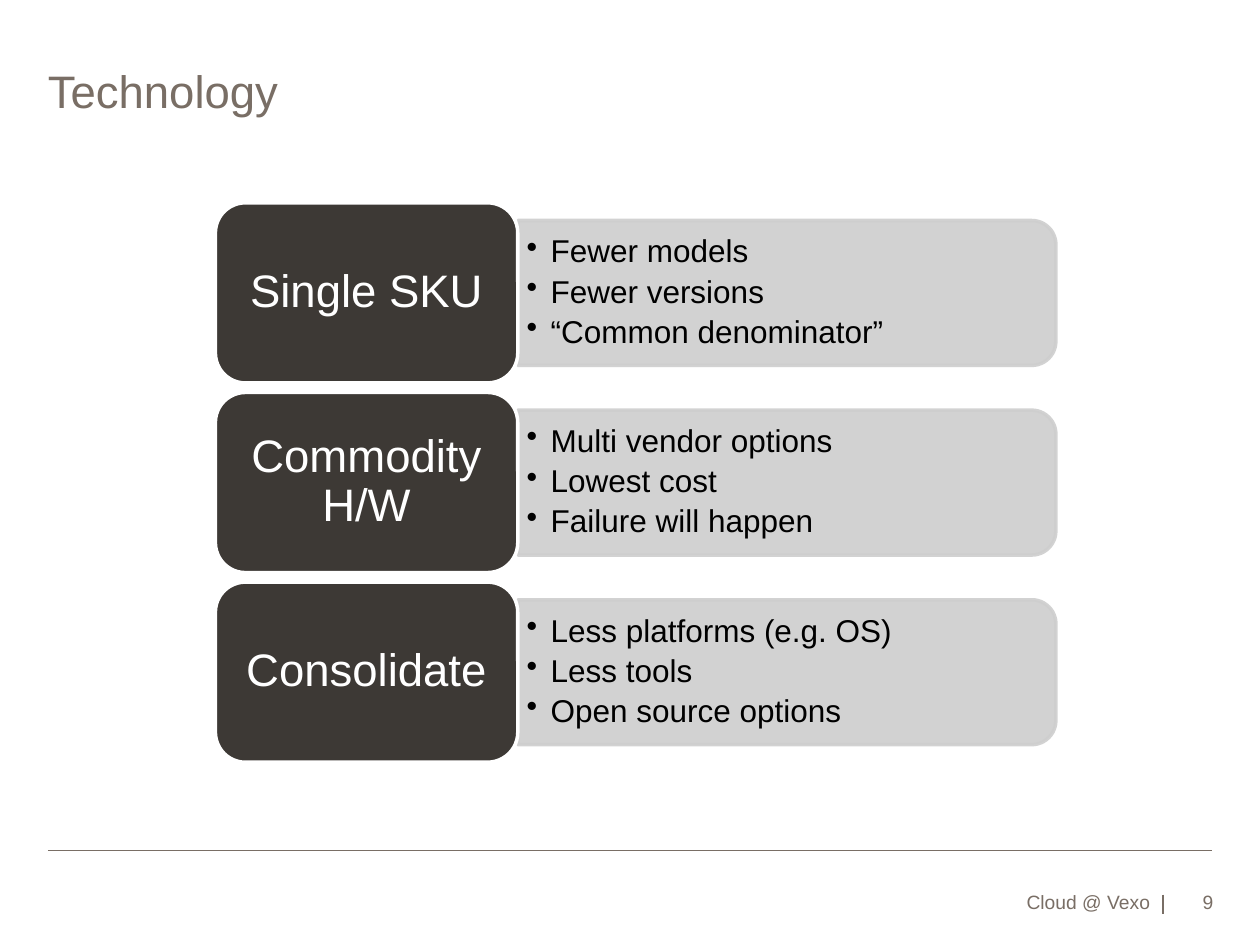
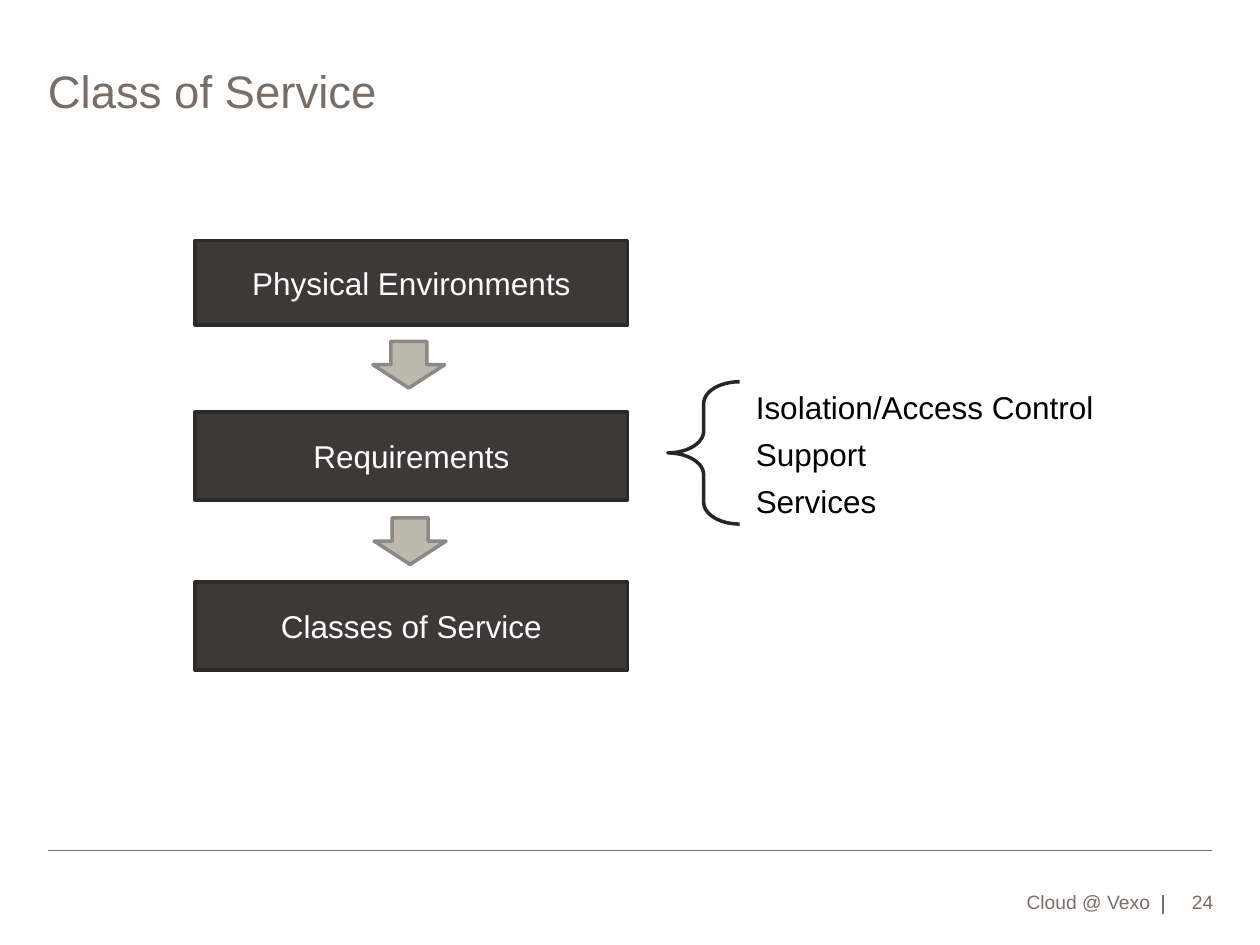
"""Build two slides on cloud technology and classes of service."""
from pptx import Presentation, util as u
from pptx.dml.color import RGBColor
from pptx.enum import shapes, text
from pptx.oxml.ns import qn
from lxml import etree

Inches, Pt = u.Inches, u.Pt
SHAPE, ALIGN, ANCHOR = shapes.MSO_SHAPE, text.PP_ALIGN, text.MSO_ANCHOR
COLORS = {
    "taupe": "796E65", "dark": "3D3935", "edge": "2D2A27", "panel": "CECECE",
    "arrow": "BFB8AF", "arrow_edge": "8D8881", "brace": "262626",
    "white": "FFFFFF", "black": "000000",
}
FONT = "Arial"
MARGIN, CONTENT_WIDTH = 0.38, 9.24


class Deck:
    """Hold the shared style and the slide being filled."""

    def __init__(self):
        self.prs = Presentation()
        self.prs.slide_width, self.prs.slide_height = Inches(10), Inches(7.5)
        self.slide = None

    def color(self, name):
        return RGBColor.from_string(COLORS[name])

    def new_slide(self, heading, number):
        self.slide = self.prs.slides.add_slide(self.prs.slide_layouts[5])
        title = self.slide.shapes.title
        title.left, title.top, title.width, title.height = map(
            Inches, (MARGIN, 0.5, CONTENT_WIDTH, 1.01))
        self.set_text(title, [heading], 26, "taupe", insets=(0, 0, 0, 0))
        self.rule(MARGIN, 6.75, MARGIN + CONTENT_WIDTH, 6.75)
        self.rule(9.23, 7.1, 9.23, 7.25)
        for left, width, words in ((5.47, 3.66, "Cloud @ Vexo"), (9.23, 0.4, str(number))):
            self.label(left, 6.97, width, 0.28, [words], 11, "taupe",
                       align=ALIGN.RIGHT, anchor=ANCHOR.BOTTOM, insets=(0, 0.05, 0, 0))

    def set_text(self, shape, lines, size, color, align=ALIGN.LEFT, anchor=ANCHOR.TOP,
                 insets=(0.1, 0.05, 0.1, 0.05), spacing=None, wrap=True):
        frame = shape.text_frame
        frame.text = "\n".join(lines)
        frame.word_wrap, frame.auto_size = wrap, text.MSO_AUTO_SIZE.NONE
        frame.vertical_anchor = anchor
        (frame.margin_left, frame.margin_top,
         frame.margin_right, frame.margin_bottom) = map(Inches, insets)
        for paragraph in frame.paragraphs:
            paragraph.alignment, paragraph.line_spacing = align, spacing
            paragraph.font.name, paragraph.font.size = FONT, Pt(size)
            paragraph.font.color.rgb = self.color(color)

    def label(self, left, top, width, height, lines, size, color, **style):
        box = self.slide.shapes.add_textbox(*map(Inches, (left, top, width, height)))
        self.set_text(box, lines, size, color, **style)
        return box

    def bullets(self, left, top, width, height, lines):
        box = self.label(left, top, width, height, lines, 18, "black", anchor=ANCHOR.MIDDLE,
                         insets=(0.07, 0.04, 0.07, 0.04), spacing=0.9)
        for paragraph in box.text_frame.paragraphs:
            paragraph.space_after = Pt(3.5)
            props = paragraph._p.get_or_add_pPr()
            props.set("marL", str(Inches(0.19)))
            props.set("indent", str(Inches(-0.19)))
            bullet = etree.Element(qn("a:buChar"), char="•")
            props.insert_element_before(bullet, "a:defRPr")

    def shape(self, kind, left, top, width, height, fill, line):
        item = self.slide.shapes.add_shape(kind, *map(Inches, (left, top, width, height)))
        item.shadow.inherit = False
        if fill:
            item.fill.solid()
            item.fill.fore_color.rgb = self.color(fill)
        else:
            item.fill.background()
        item.line.color.rgb, item.line.width = self.color(line), Pt(2)
        return item

    def panel(self, left, top, width, height):
        """Draw a translucent panel rounded on its right side."""
        item = self.shape(SHAPE.ROUND_2_SAME_RECTANGLE, left + (width - height) / 2,
                          top + (height - width) / 2, height, width, "panel", "panel")
        item.rotation = 90
        for tint in item._element.spPr.iter(qn("a:srgbClr")):
            etree.SubElement(tint, qn("a:alpha"), val="90000")

    def rule(self, x1, y1, x2, y2):
        line = self.slide.shapes.add_connector(
            shapes.MSO_CONNECTOR.STRAIGHT, *map(Inches, (x1, y1, x2, y2)))
        line.line.color.rgb, line.line.width = self.color("taupe"), Pt(1)
        etree.SubElement(line._element.spPr, qn("a:effectLst"))


def technology(deck):
    deck.new_slide("Technology", 9)
    themes = {
        "Single SKU": ["Fewer models", "Fewer versions", "“Common denominator”"],
        "Commodity H/W": ["Multi vendor options", "Lowest cost", "Failure will happen"],
        "Consolidate": ["Less platforms (e.g. OS)", "Less tools", "Open source options"],
    }
    for row, (theme, points) in enumerate(themes.items()):
        top = 1.61 + row * 1.505
        deck.panel(4.11, top + 0.14, 4.27, 1.15)
        deck.bullets(4.11, top + 0.2, 4.21, 1.03, points)
        card = deck.shape(SHAPE.ROUNDED_RECTANGLE, 1.71, top, 2.4, 1.43, "dark", "white")
        deck.set_text(card, [theme], 26, "white", ALIGN.CENTER, ANCHOR.MIDDLE,
                      insets=(0.11, 0.05, 0.11, 0.05), spacing=0.9)


def class_of_service(deck):
    deck.new_slide("Class of Service", 24)
    stages = (("Physical Environments", 1.91, 0.67), ("Requirements", 3.27, 0.7),
              ("Classes of Service", 4.62, 0.7))
    for stage, top, height in stages:
        box = deck.shape(SHAPE.RECTANGLE, 1.55, top, 3.43, height, "dark", "edge")
        deck.set_text(box, [stage], 18, "white", ALIGN.CENTER, ANCHOR.MIDDLE)
    for left, top in ((2.96, 2.71), (2.97, 4.11)):
        deck.shape(SHAPE.DOWN_ARROW, left, top, 0.57, 0.37, "arrow", "arrow_edge")
    needs = (("Isolation/Access Control", 2.91), ("Support", 1.09), ("Services", 1.17))
    for row, (need, width) in enumerate(needs):
        deck.label(5.9, 3.03 + row * 0.375, width, 0.4, [need], 18, "black", wrap=False)
    brace = deck.shape(SHAPE.LEFT_BRACE, 5.3, 3.03, 0.57, 1.13, None, "brace")
    brace.adjustments[0] = 0.304


def main():
    deck = Deck()
    technology(deck)
    class_of_service(deck)
    deck.prs.save("out.pptx")


if __name__ == "__main__":
    main()
